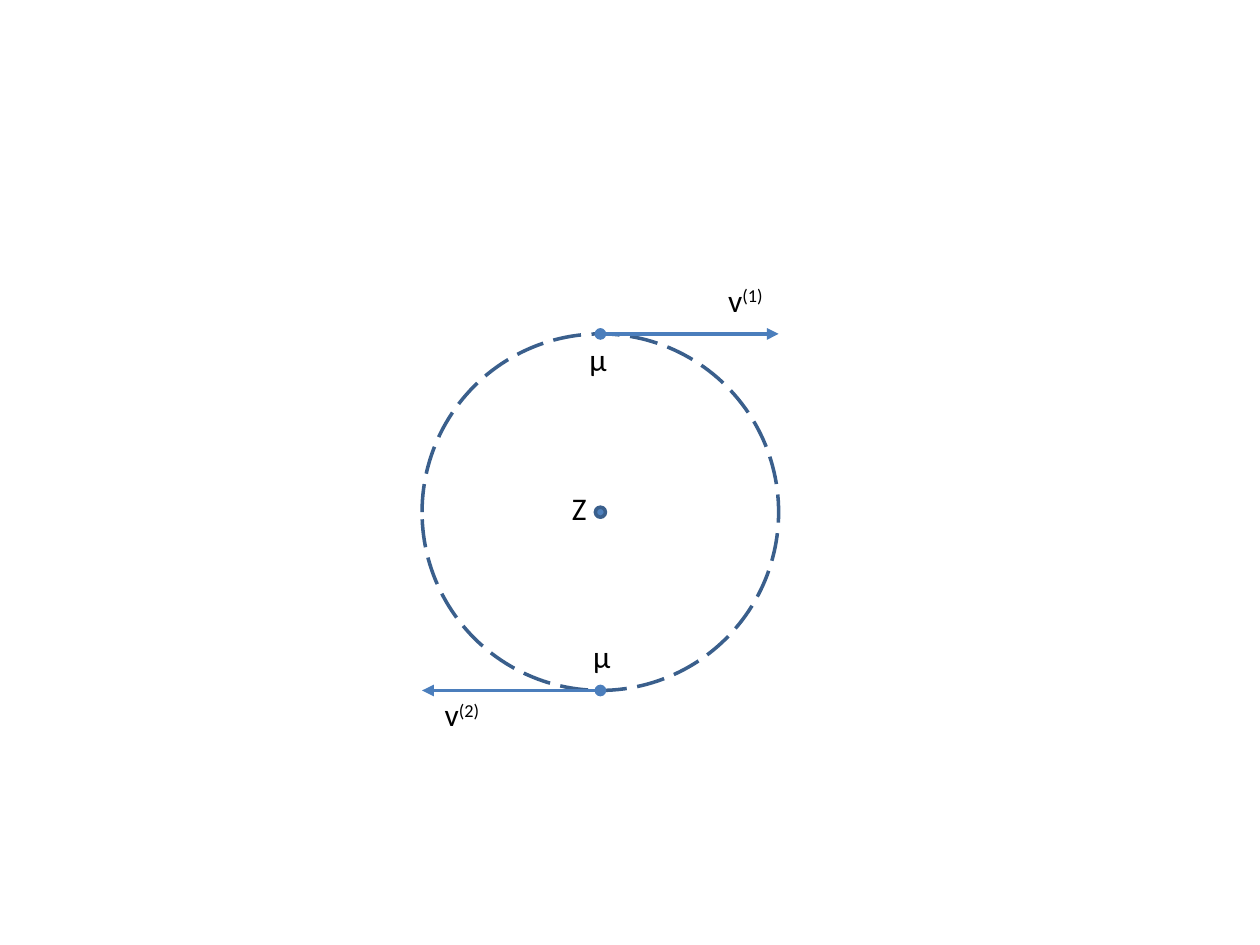
from dataclasses import dataclass

from lxml.etree import SubElement
from pptx import Presentation
from pptx.dml.color import RGBColor
from pptx.enum.dml import MSO_LINE_DASH_STYLE as Dash
from pptx.enum.shapes import MSO_CONNECTOR as Connector, MSO_SHAPE as Shape
from pptx.enum.text import MSO_AUTO_SIZE as AutoSize
from pptx.oxml.ns import qn
from pptx.shapes.autoshape import Shape as AutoShape
from pptx.slide import Slide
from pptx.util import Inches, Pt

CENTER_X, CENTER_Y, RADIUS = 4.765, 4.065, 1.415
OUTLINE, ARROW, FILL, INK = "3A5F8C", "4B7EBC", "4F81BD", "000000"


@dataclass
class Label:
    """A symbol with an optional superscript."""
    left: float
    top: float
    width: float
    text: str
    superscript: str = ""


@dataclass
class Velocity:
    """A tangent arrow: side is -1 at the top, 1 at the bottom."""
    side: int


LABELS = [
    Label(4.44, 3.83, 0.32, "Z"),
    Label(4.58, 2.65, 0.34, "μ"),
    Label(4.61, 5.01, 0.34, "μ"),
    Label(5.68, 2.18, 0.52, "v", "(1)"),
    Label(3.43, 5.47, 0.52, "v", "(2)"),
]
VELOCITIES = [Velocity(-1), Velocity(1)]


def color(value: str) -> RGBColor:
    """Turn a hex string into a colour."""
    return RGBColor.from_string(value)


def add_circle(page: Slide, radius: float) -> AutoShape:
    """Draw an outlined circle around the common centre."""
    circle = page.shapes.add_shape(
        Shape.OVAL, Inches(CENTER_X - radius), Inches(CENTER_Y - radius),
        Inches(2 * radius), Inches(2 * radius))
    circle.shadow.inherit = False
    circle.fill.background()
    circle.line.color.rgb = color(OUTLINE)
    circle.line.width = Pt(2)
    return circle


def add_velocity(page: Slide, velocity: Velocity) -> None:
    """Draw a tangent arrow that starts with a round particle."""
    y = Inches(CENTER_Y + velocity.side * RADIUS)
    arrow = page.shapes.add_connector(
        Connector.STRAIGHT, Inches(CENTER_X), y,
        Inches(CENTER_X - velocity.side * RADIUS), y)
    arrow.line.color.rgb = color(ARROW)
    arrow.line.width = Pt(2.25)
    line = arrow.line._get_or_add_ln()
    SubElement(line, qn("a:headEnd"), type="oval")
    SubElement(line, qn("a:tailEnd"), type="triangle")
    SubElement(arrow._element.spPr, qn("a:effectLst"))


def add_label(page: Slide, label: Label) -> None:
    """Write a symbol and its superscript."""
    box = page.shapes.add_textbox(
        Inches(label.left), Inches(label.top), Inches(label.width), Inches(0.4))
    box.text_frame.word_wrap = False
    box.text_frame.auto_size = AutoSize.SHAPE_TO_FIT_TEXT
    para = box.text_frame.paragraphs[0]
    para.font.name = "Calibri"
    para.font.size = Pt(18)
    para.font.color.rgb = color(INK)
    para.add_run().text = label.text
    if label.superscript:
        span = para.add_run()
        span.text = label.superscript
        span.font._element.set("baseline", "30000")


def main() -> None:
    """Build the slide and save it."""
    deck = Presentation()
    deck.slide_width, deck.slide_height = Inches(10), Inches(7.5)
    page = deck.slides.add_slide(deck.slide_layouts[6])

    orbit = add_circle(page, RADIUS)
    orbit.line.dash_style = Dash.LONG_DASH
    for velocity in VELOCITIES:
        add_velocity(page, velocity)
    nucleus = add_circle(page, 0.04)
    nucleus.fill.solid()
    nucleus.fill.fore_color.rgb = color(FILL)
    for label in LABELS:
        add_label(page, label)

    deck.save("out.pptx")


main()
